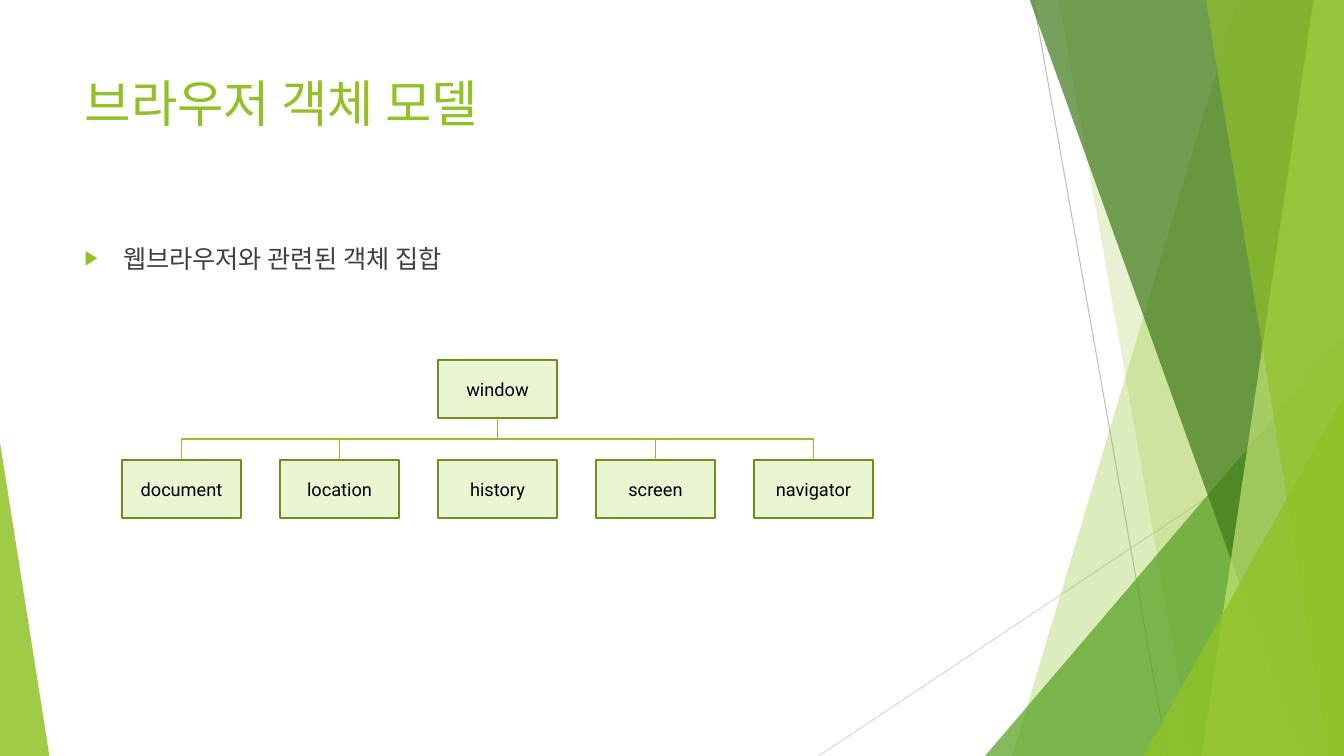
"""Build a slide showing the browser object model as a tree."""
from lxml import etree
from pptx import Presentation
from pptx.dml.color import RGBColor
from pptx.enum.shapes import MSO_CONNECTOR, MSO_SHAPE
from pptx.enum.text import MSO_ANCHOR, MSO_AUTO_SIZE, PP_ALIGN
from pptx.oxml.ns import qn
from pptx.util import Inches, Pt

RECTANGLE = MSO_SHAPE.RECTANGLE
TRIANGLE = MSO_SHAPE.ISOSCELES_TRIANGLE
STRAIGHT, ELBOW = MSO_CONNECTOR.STRAIGHT, MSO_CONNECTOR.ELBOW
TOP, MIDDLE = MSO_ANCHOR.TOP, MSO_ANCHOR.MIDDLE
LEFT, CENTER = PP_ALIGN.LEFT, PP_ALIGN.CENTER
NO_AUTOFIT = MSO_AUTO_SIZE.NONE

GREEN = RGBColor(0x90, 0xC2, 0x26)
LEAF = RGBColor(0x54, 0xA0, 0x21)
FOREST = RGBColor(0x3F, 0x78, 0x19)
LIME = RGBColor(0xC0, 0xE4, 0x74)
PALE = RGBColor(0xEA, 0xF6, 0xD1)
OLIVE = RGBColor(0x6B, 0x90, 0x1C)
CHARCOAL = RGBColor(0x40, 0x40, 0x40)
BLACK = RGBColor(0, 0, 0)
GRAY = RGBColor(0xBF, 0xBF, 0xBF)
SILVER = RGBColor(0xD9, 0xD9, 0xD9)

PAGE_WIDTH, PAGE_HEIGHT = 13.33, 7.5
FACET_TOP = -0.01
BOX_WIDTH, BOX_HEIGHT = 1.18, 0.58
CHILD_LEFT, CHILD_TOP, CHILD_STEP = 1.21, 4.56, 1.567
WINDOW_TOP = 3.57
CHILDREN = ["document", "location", "history", "screen", "navigator"]


def write(frame, text, size, color, font="Roboto", align=LEFT, anchor=TOP):
    """Put one formatted paragraph in a text frame and return it."""
    frame.word_wrap = True
    frame.auto_size = NO_AUTOFIT
    frame.vertical_anchor = anchor
    para = frame.paragraphs[0]
    para.alignment = align
    span = para.add_run()
    span.text = text
    span.font.size = Pt(size)
    span.font.name = font
    span.font.color.rgb = color
    return para


class SlideWriter:
    """Draws styled elements on the current slide."""

    def __init__(self, page):
        self.page = page
        self.shapes = page.shapes

    def placeholder(self, index, place, text, **style):
        holder = self.page.placeholders[index]
        holder.left, holder.top, holder.width, holder.height = map(Inches, place)
        self.shapes._spTree.append(holder._element)
        return write(holder.text_frame, text, **style)

    def bullet(self, para, mark, color, percent, indent, before):
        para.space_before = Pt(before)
        props = para._p.get_or_add_pPr()
        props.set("marL", str(Inches(indent)))
        props.set("indent", str(-Inches(indent)))
        tint = etree.SubElement(props, qn("a:buClr"))
        etree.SubElement(tint, qn("a:srgbClr"), val=str(color))
        etree.SubElement(props, qn("a:buSzPct"), val=str(percent * 1000))
        etree.SubElement(props, qn("a:buFont"), typeface="Arial")
        etree.SubElement(props, qn("a:buChar"), char=mark)

    def glaze(self, shape, color, opacity):
        shape.shadow.inherit = False
        shape.line.fill.background()
        shape.fill.solid()
        shape.fill.fore_color.rgb = color
        tint = shape._element.spPr.find(qn("a:solidFill"))[0]
        etree.SubElement(tint, qn("a:alpha"), val=str(opacity * 1000))

    def facet(self, top_x, bottom_x, color, opacity):
        corners = [(PAGE_WIDTH, FACET_TOP), (PAGE_WIDTH, PAGE_HEIGHT), (bottom_x, PAGE_HEIGHT)]
        builder = self.shapes.build_freeform(Inches(top_x), Inches(FACET_TOP))
        builder.add_line_segments([(Inches(x), Inches(y)) for x, y in corners])
        self.glaze(builder.convert_to_shape(), color, opacity)

    def triangle(self, place, peak, color, opacity):
        shape = self.shapes.add_shape(TRIANGLE, *map(Inches, place))
        shape.adjustments[0] = peak
        self.glaze(shape, color, opacity)

    def line(self, kind, ends, color, width):
        connector = self.shapes.add_connector(kind, *map(Inches, ends))
        connector.line.color.rgb = color
        connector.line.width = Pt(width)
        etree.SubElement(connector._element.spPr, qn("a:effectLst"))
        return connector

    def box(self, left, top, text):
        box = self.shapes.add_shape(
            RECTANGLE, Inches(left), Inches(top), Inches(BOX_WIDTH), Inches(BOX_HEIGHT))
        box.shadow.inherit = False
        box.fill.solid()
        box.fill.fore_color.rgb = PALE
        box.line.color.rgb = OLIVE
        box.line.width = Pt(1.5)
        frame = box.text_frame
        frame.margin_left = frame.margin_right = Inches(0.01)
        write(frame, text, size=13, color=BLACK, align=CENTER, anchor=MIDDLE)
        return box

    def branch(self, parent, child):
        connector = self.line(ELBOW, (0, 0, 0, 0), GREEN, 1)
        connector.begin_connect(parent, 2)
        connector.end_connect(child, 0)
        start_x = parent.left + parent.width // 2
        start_y = parent.top + parent.height
        end_x = child.left + child.width // 2
        drop, reach = child.top - start_y, abs(end_x - start_x)
        connector.left = (start_x + end_x - drop) // 2
        connector.top = (start_y + child.top - reach) // 2
        connector.width, connector.height = drop, reach
        rightward = end_x > start_x
        frame = connector._element.spPr.find(qn("a:xfrm"))
        frame.set("rot", str((270 if rightward else 90) * 60000))
        frame.set("flipH", "1" if rightward else "0")


def main():
    deck = Presentation()
    deck.slide_width, deck.slide_height = Inches(PAGE_WIDTH), Inches(PAGE_HEIGHT)
    writer = SlideWriter(deck.slides.add_slide(deck.slide_layouts[1]))

    writer.line(STRAIGHT, (10.25, 0, 11.58, PAGE_HEIGHT), GRAY, 0.75)
    writer.line(STRAIGHT, (PAGE_WIDTH, 4.03, 8.12, PAGE_HEIGHT), SILVER, 0.75)
    writer.facet(12.28, 10.04, GREEN, 30)
    writer.facet(10.5, 11.83, GREEN, 20)
    writer.triangle((9.77, 3.33, 3.56, 4.17), 1, LEAF, 72)
    writer.facet(10.21, 12.91, FOREST, 70)
    writer.facet(13.03, 11.92, LIME, 70)
    writer.facet(11.96, 13.18, GREEN, 65)
    writer.triangle((11.34, 3.93, 1.99, 3.57), 1, GREEN, 80)
    writer.triangle((0, 4.39, 0.49, 3.11), 0, GREEN, 85)

    writer.placeholder(0, (0.74, 0.67, 9.4, 1.44), "브라우저 객체 모델", size=36, color=GREEN)
    item = writer.placeholder(
        1, (0.74, 2.36, 9.4, 4.24), "웹브라우저와 관련된 객체 집합", size=18, color=CHARCOAL)
    writer.bullet(item, "▶", GREEN, percent=80, indent=0.38, before=10)

    middle = len(CHILDREN) // 2
    window = writer.box(CHILD_LEFT + middle * CHILD_STEP, WINDOW_TOP, "window")
    boxes = [writer.box(CHILD_LEFT + i * CHILD_STEP, CHILD_TOP, name)
             for i, name in enumerate(CHILDREN)]
    for box in boxes[:middle] + boxes[middle + 1:]:
        writer.branch(window, box)

    deck.save("out.pptx")


if __name__ == "__main__":
    main()
